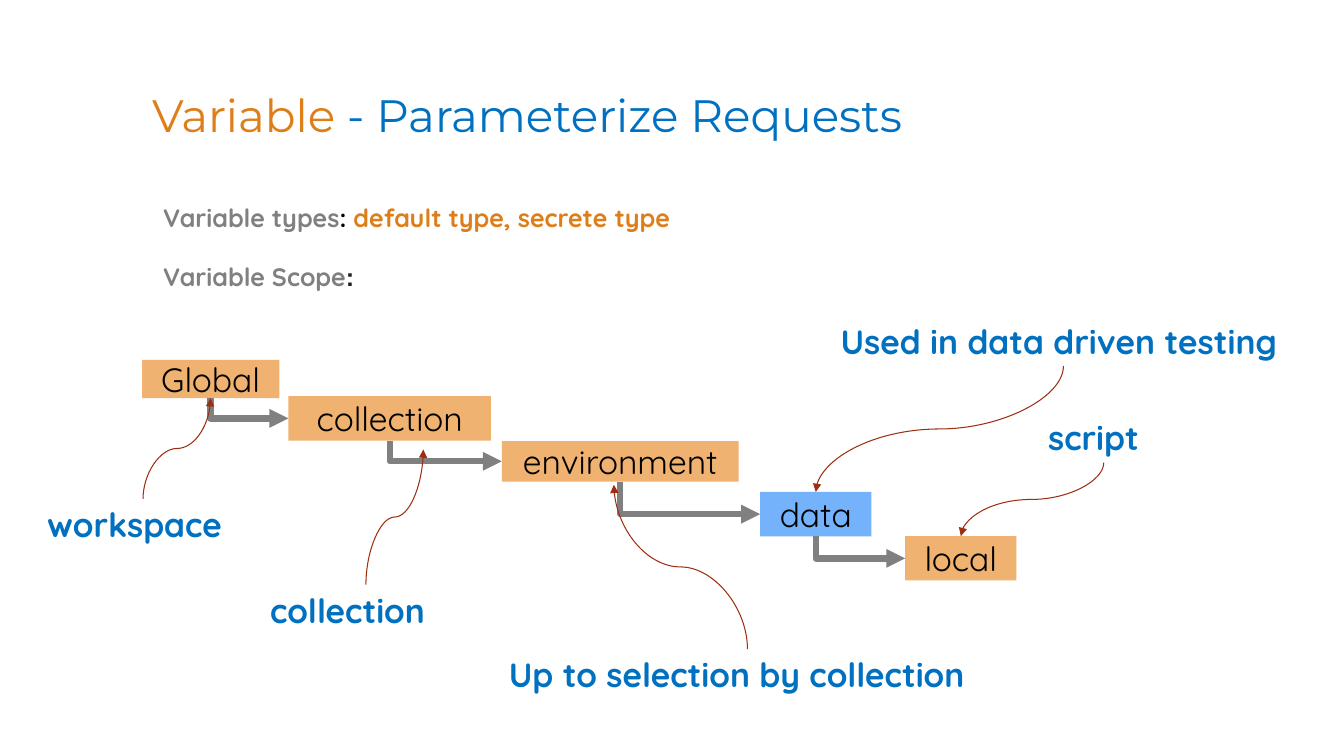
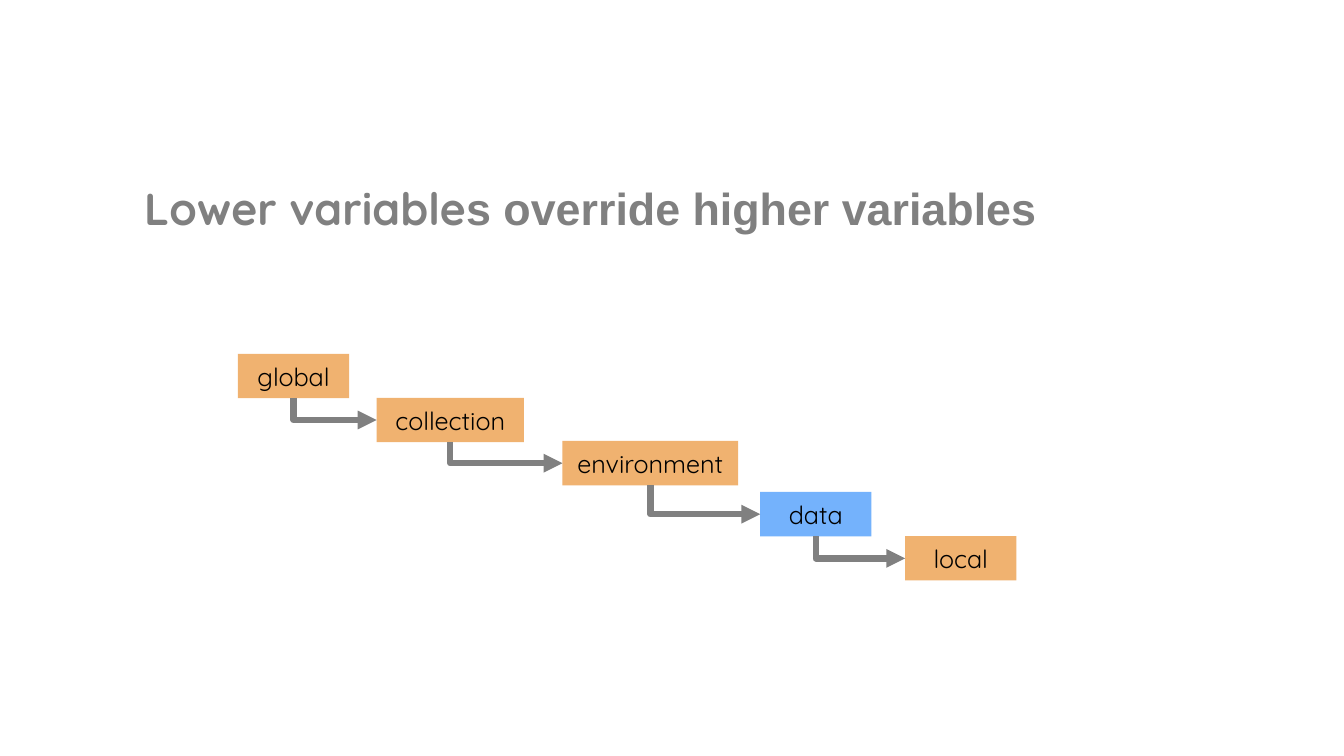
from lxml.etree import SubElement
from pptx import Presentation
from pptx.dml.color import RGBColor
from pptx.enum.shapes import MSO_CONNECTOR, MSO_SHAPE
from pptx.enum.text import MSO_ANCHOR, PP_ALIGN
from pptx.oxml.ns import qn
from pptx.util import Pt

ORANGE = "DE7E18"
BLUE = "0070C0"
GRAY = "808080"
BLACK = "000000"
CHARCOAL = "212121"
RUST = "9E2E0F"
SCOPE_FILL = "F0B270"
DATA_FILL = "74B2FC"
BODY_FONT = "Quicksand"
TITLE_FONT = "Montserrat"
PLAIN_FONT = "Arial"
TITLE_ONLY = 5
TOP, LEFT, BOTTOM = 0, 1, 2


def color(value):
    return RGBColor.from_string(value)


class SlideBuilder:
    def __init__(self, deck):
        self.deck = deck
        self.page = None

    def add_page(self):
        self.page = self.deck.slides.add_slide(self.deck.slide_layouts[TITLE_ONLY])

    def add_spans(self, frame, spans, size, bold):
        para = frame.paragraphs[0]
        for text, font, ink in spans:
            span = para.add_run()
            span.text = text
            span.font.name = font
            span.font.size = Pt(size)
            span.font.bold = bold
            span.font.color.rgb = color(ink)
        return para

    def title(self, left, top, width, height, spans, size, bold=False):
        box = self.page.shapes.title
        box.left, box.top, box.width, box.height = Pt(left), Pt(top), Pt(width), Pt(height)
        box.text_frame.word_wrap = True
        box.text_frame.vertical_anchor = MSO_ANCHOR.TOP
        self.add_spans(box.text_frame, spans, size, bold).alignment = PP_ALIGN.LEFT

    def text(self, left, top, width, height, spans, size):
        box = self.page.shapes.add_textbox(Pt(left), Pt(top), Pt(width), Pt(height))
        box.text_frame.word_wrap = True
        self.add_spans(box.text_frame, spans, size, True)
        return box

    def note(self, label, left, top, width):
        return self.text(left, top, width, 36, [(label, BODY_FONT, BLUE)], 24)

    def scope_box(self, label, left, top, width, height, size):
        box = self.page.shapes.add_shape(
            MSO_SHAPE.RECTANGLE, Pt(left), Pt(top), Pt(width), Pt(height))
        box.shadow.inherit = False
        box.fill.solid()
        box.fill.fore_color.rgb = color(DATA_FILL if label == "data" else SCOPE_FILL)
        box.line.fill.background()
        box.text_frame.word_wrap = True
        box.text_frame.vertical_anchor = MSO_ANCHOR.MIDDLE
        para = self.add_spans(box.text_frame, [(label, BODY_FONT, BLACK)], size, False)
        para.alignment = PP_ALIGN.CENTER
        return box

    def arrow(self, kind, start, finish, ink, weight):
        arrow = self.page.shapes.add_connector(kind, *start, *finish)
        arrow.line.color.rgb = color(ink)
        arrow.line.width = Pt(weight)
        properties = arrow._element.spPr
        SubElement(properties.find(qn("a:ln")), qn("a:tailEnd"), type="triangle")
        SubElement(properties, qn("a:effectLst"))
        return arrow

    def link(self, kind, source, source_site, target, target_site, ink, weight):
        start = self.site(source, source_site)
        finish = target if target_site is None else self.site(target, target_site)
        arrow = self.arrow(kind, start, finish, ink, weight)
        arrow.begin_connect(source, source_site)
        if target_site is not None:
            arrow.end_connect(target, target_site)
        self.turn(arrow, start, finish)
        return arrow

    def site(self, box, site):
        if site == LEFT:
            return box.left, box.top + box.height // 2
        return box.left + box.width // 2, box.top + (box.height if site == BOTTOM else 0)

    def turn(self, arrow, start, finish):
        across, down = finish[0] - start[0], finish[1] - start[1]
        arrow.width, arrow.height = abs(down), abs(across)
        arrow.left = start[0] + (across - abs(down)) // 2
        arrow.top = start[1] + (down - abs(across)) // 2
        frame = arrow._element.spPr.find(qn("a:xfrm"))
        frame.set("rot", str((270 if across * down > 0 else 90) * 60000))
        frame.set("flipH", "1" if across > 0 else "0")
        frame.set("flipV", "1" if down < 0 else "0")

    def staircase(self, steps, size):
        boxes = [self.scope_box(*step, size) for step in steps]
        for upper, lower in zip(boxes, boxes[1:]):
            arrow = self.link(
                MSO_CONNECTOR.ELBOW, upper, BOTTOM, lower, LEFT, GRAY, 4.5)
            arrow._element.spPr.find(qn("a:prstGeom")).set("prst", "bentConnector2")
        return boxes

    def pointer(self, note, note_site, target, target_site=None):
        self.link(MSO_CONNECTOR.CURVE, note, note_site, target, target_site, RUST, 0.75)


LAST_STEPS = [
    ("data", 543, 351.4, 79.4, 31.7),
    ("local", 646.6, 383, 79.4, 31.7),
]


def variable_page(builder):
    builder.add_page()
    builder.title(101.5, 58.3, 688.3, 54.7, [
        ("Variable", TITLE_FONT, ORANGE),
        (" - Parameterize Requests", TITLE_FONT, BLUE),
    ], 32.4)
    builder.text(109.4, 141.1, 465, 29, [
        ("Variable types", BODY_FONT, GRAY),
        (": ", BODY_FONT, BLACK),
        ("default type, secrete type", BODY_FONT, ORANGE),
    ], 18)
    builder.text(109.4, 182.9, 167, 29, [
        ("Variable Scope", BODY_FONT, GRAY),
        (":", PLAIN_FONT, CHARCOAL),
    ], 18)
    scope_global, collection, environment, data, local = builder.staircase([
        ("Global", 101.5, 257, 98, 27.4),
        ("collection", 206, 283, 144.7, 31.7),
        ("environment", 358.4, 315, 169.2, 29),
        *LAST_STEPS,
    ], 24)
    workspace = builder.note("workspace", 26.6, 356.4, 151.2)
    by_collection = builder.note("collection", 185.8, 417.6, 151.2)
    selection = builder.note("Up to selection by collection", 356.4, 463.7, 355)
    script = builder.note("script", 741.6, 294.5, 93.6)
    testing = builder.note("Used in data driven testing", 593.3, 225.4, 332.6)
    builder.pointer(workspace, TOP, scope_global, BOTTOM)
    builder.pointer(by_collection, TOP, (Pt(302.4), Pt(321.1)))
    builder.pointer(selection, TOP, (Pt(438.5), Pt(346.3)))
    builder.pointer(script, BOTTOM, local, TOP)
    builder.pointer(testing, BOTTOM, data, TOP)


def override_page(builder):
    builder.add_page()
    builder.title(95.8, 125.3, 685.4, 46, [
        ("Lower variable", BODY_FONT, GRAY),
        ("s override higher variables", PLAIN_FONT, GRAY),
    ], 32, True)
    builder.staircase([
        ("global", 170, 252.7, 79.4, 31.7),
        ("collection", 269, 284.2, 105.3, 31.7),
        ("environment", 401.8, 315, 125.4, 31.7),
        *LAST_STEPS,
    ], 18)


def main():
    deck = Presentation()
    deck.slide_width, deck.slide_height = Pt(960), Pt(540)
    builder = SlideBuilder(deck)
    variable_page(builder)
    override_page(builder)
    deck.save("out.pptx")


if __name__ == "__main__":
    main()
